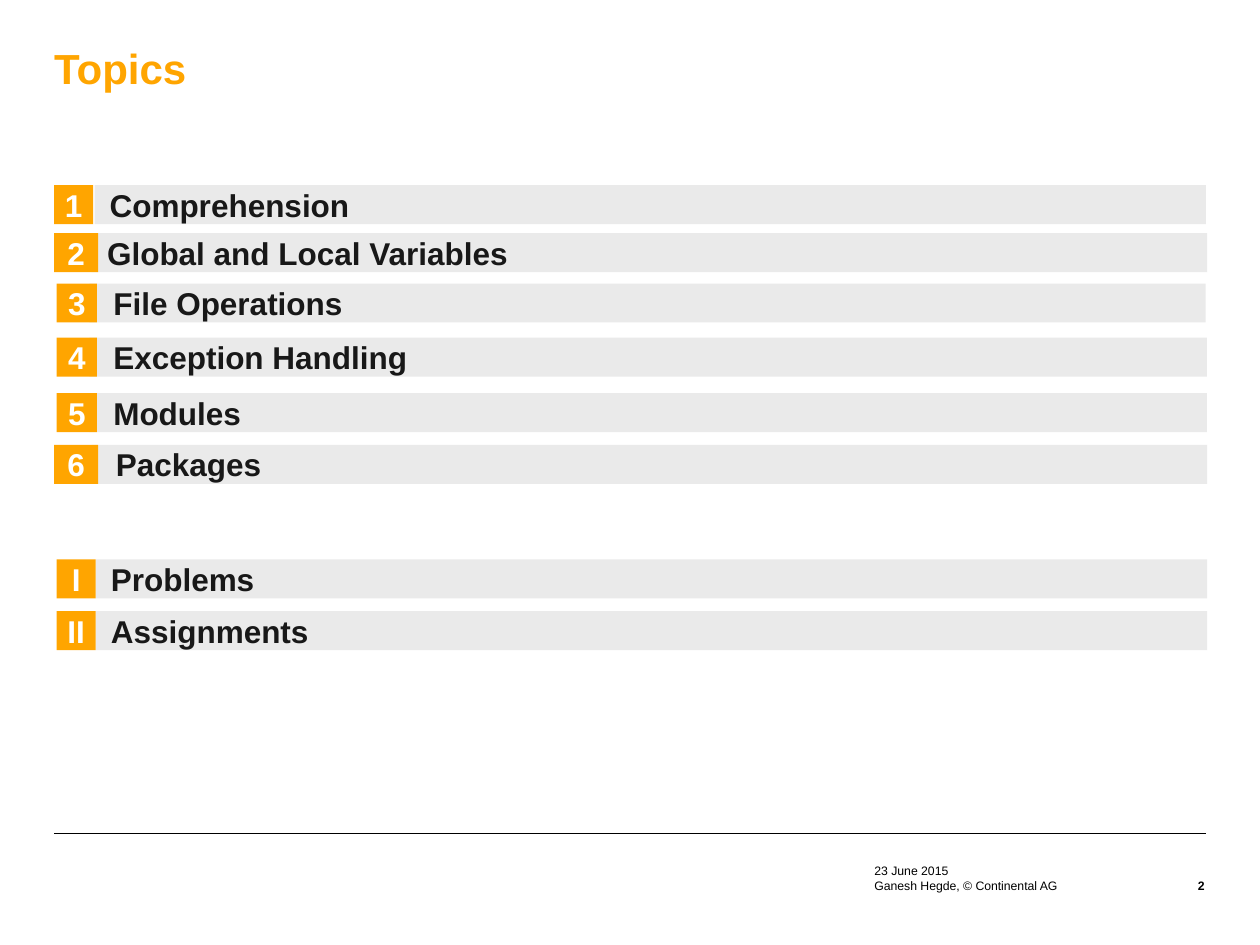
from pptx import Presentation
from pptx.dml.color import RGBColor
from pptx.enum.shapes import MSO_CONNECTOR, MSO_SHAPE
from pptx.enum.text import MSO_ANCHOR, PP_ALIGN
from pptx.util import Inches, Pt
from lxml.etree import SubElement
from pptx.oxml.ns import qn

THEME = {
    "font": "Arial", "accent": "FFA500", "bar": "EAEAEA", "text": "181818",
    "white": "FFFFFF", "black": "000000", "title": 24, "topic": 18, "footer": 7,
}
TITLE = "Topics"
# number, topic, top, badge left, badge width, bar left, bar right, text inset
TOPICS = [
    ("1", "Comprehension", 1.47, 0.43, 0.31, 0.75, 9.57, 0.12),
    ("2", "Global and Local Variables", 1.85, 0.43, 0.35, 0.73, 9.58, 0.12),
    ("3", "File Operations", 2.25, 0.45, 0.32, 0.71, 9.57, 0.19),
    ("4", "Exception Handling", 2.68, 0.45, 0.32, 0.71, 9.58, 0.19),
    ("5", "Modules", 3.12, 0.45, 0.32, 0.71, 9.58, 0.19),
    ("6", "Packages", 3.53, 0.43, 0.35, 0.73, 9.58, 0.19),
    ("I", "Problems", 4.44, 0.45, 0.31, 0.76, 9.58, 0.12),
    ("II", "Assignments", 4.85, 0.45, 0.31, 0.76, 9.58, 0.12),
]
FOOTER = [
    ("23 June 2015", (6.94, 6.81, 2.19, 0.16), MSO_ANCHOR.BOTTOM, PP_ALIGN.LEFT, False),
    ("2", (9.17, 6.97, 0.39, 0.16), MSO_ANCHOR.TOP, PP_ALIGN.RIGHT, True),
    ("Ganesh Hegde, © Continental AG", (6.94, 6.97, 2.19, 0.16),
     MSO_ANCHOR.TOP, PP_ALIGN.LEFT, False),
]
ROW_H = 0.31


def write(sp, text, size, color, insets=(0, 0, 0, 0), anchor=MSO_ANCHOR.MIDDLE,
          align=PP_ALIGN.LEFT, bold=True):
    tf = sp.text_frame
    tf.word_wrap = True
    tf.vertical_anchor = anchor
    tf.margin_left, tf.margin_top, tf.margin_right, tf.margin_bottom = map(Inches, insets)
    p = tf.paragraphs[0]
    p.alignment = align
    r = p.add_run()
    r.text = text
    r.font.name, r.font.size, r.font.bold = THEME["font"], Pt(THEME[size]), bold
    r.font.color.rgb = RGBColor.from_string(THEME[color])
    return p


def add_box(s, box, fill):
    sp = s.shapes.add_shape(MSO_SHAPE.RECTANGLE, *map(Inches, box))
    sp.shadow.inherit = False
    sp.fill.solid()
    sp.fill.fore_color.rgb = RGBColor.from_string(THEME[fill])
    sp.line.fill.background()
    return sp


def add_text(s, box, *args, **kwargs):
    return write(s.shapes.add_textbox(*map(Inches, box)), *args, **kwargs)


def main():
    """Build the topics slide."""
    prs = Presentation()
    prs.slide_width, prs.slide_height = Inches(10), Inches(7.5)
    s = prs.slides.add_slide(prs.slide_layouts[6])

    rule = s.shapes.add_connector(MSO_CONNECTOR.STRAIGHT, *map(Inches, (0.43, 6.61, 9.57, 6.61)))
    rule.line.color.rgb = RGBColor.from_string(THEME["black"])
    rule.line.width = Pt(0.35)
    SubElement(rule.element.spPr, qn("a:effectLst"))

    p = add_text(s, (0.43, 0.32, 9.14, 0.79), TITLE, "title", "accent",
                 (0, 0, 0.1, 0.36), MSO_ANCHOR.BOTTOM)
    p.line_spacing = 0.95

    for number, topic, top, left, width, bar_left, bar_right, inset in TOPICS:
        bar = add_box(s, (bar_left, top, bar_right - bar_left, ROW_H), "bar")
        write(bar, topic, "topic", "text", (inset, 0.04, 0.08, 0.04))
        badge = add_box(s, (left, top, width, ROW_H), "accent")
        write(badge, number, "topic", "white", (0.04,) * 4, align=PP_ALIGN.CENTER)

    for text, box, anchor, align, bold in FOOTER:
        add_text(s, box, text, "footer", "black", anchor=anchor, align=align, bold=bold)

    prs.save("out.pptx")


if __name__ == "__main__":
    main()
